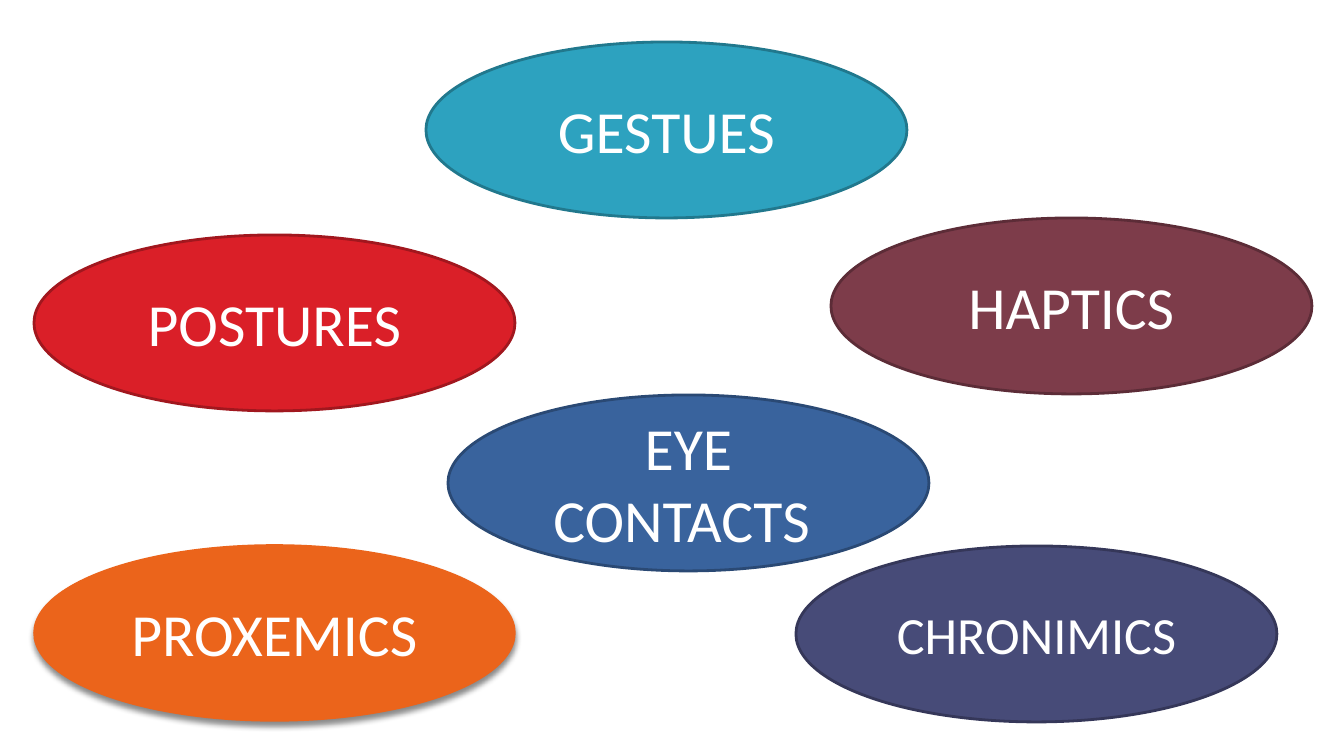
from dataclasses import dataclass

from lxml import etree
from pptx import Presentation
from pptx.dml.color import RGBColor
from pptx.enum.shapes import MSO_SHAPE
from pptx.enum.text import MSO_ANCHOR, PP_ALIGN
from pptx.oxml.ns import qn
from pptx.util import Inches, Pt

OVAL = MSO_SHAPE.OVAL
MIDDLE = MSO_ANCHOR.MIDDLE
CENTER = PP_ALIGN.CENTER
PAGE_WIDTH, PAGE_HEIGHT = 1344, 756
OVAL_WIDTH, OVAL_HEIGHT = 481, 176
SCALE = Inches(10) / PAGE_WIDTH
BLANK_LAYOUT = 6


@dataclass(frozen=True)
class Theme:
    font: str = "Calibri"
    text: str = "FFFFFF"
    shadow: str = "000000"
    large: int = 32
    small: int = 28
    outline: float = 1.5
    thin: float = 0.79
    red: tuple = ("DA1F28", "A1171E")
    blue: tuple = ("39639D", "2A4974")
    maroon: tuple = ("7D3C4A", "5C2C37")
    orange: tuple = ("EB641B", "EB641B")
    indigo: tuple = ("474B78", "353759")
    teal: tuple = ("2DA2BF", "21788D")


THEME = Theme()


def px(length):
    return round(length * SCALE)


def color(value):
    return RGBColor.from_string(value)


def apply_format(target, values):
    for name, value in values.items():
        setattr(target, name, value)


def add_oval(page, label, left, top, colors, size=THEME.large, outline=THEME.outline):
    oval = page.shapes.add_shape(
        OVAL, px(left), px(top), px(OVAL_WIDTH), px(OVAL_HEIGHT)
    )
    fill, line = colors
    oval.shadow.inherit = False
    oval.fill.solid()
    oval.fill.fore_color.rgb = color(fill)
    oval.line.color.rgb = color(line)
    oval.line.width = Pt(outline)
    frame = oval.text_frame
    apply_format(frame, {"word_wrap": True, "vertical_anchor": MIDDLE})
    para = frame.paragraphs[0]
    para.alignment = CENTER
    span = para.add_run()
    span.text = label
    apply_format(span.font, {"name": THEME.font, "size": Pt(size)})
    span.font.color.rgb = color(THEME.text)
    return oval


def add_shadow(shape):
    effects = shape._element.spPr.find(qn("a:effectLst"))
    shadow = etree.SubElement(
        effects,
        qn("a:outerShdw"),
        blurRad=str(Pt(3)),
        dist=str(Pt(2.4)),
        dir="5400000",
        rotWithShape="0",
    )
    tint = etree.SubElement(shadow, qn("a:srgbClr"), val=THEME.shadow)
    etree.SubElement(tint, qn("a:alpha"), val="45000")


def main():
    deck = Presentation()
    apply_format(
        deck, {"slide_width": px(PAGE_WIDTH), "slide_height": px(PAGE_HEIGHT)}
    )
    page = deck.slides.add_slide(deck.slide_layouts[BLANK_LAYOUT])

    add_oval(page, "POSTURES", 34, 235, THEME.red)
    add_oval(page, "EYE CONTACTS ", 448, 395, THEME.blue)
    add_oval(page, "HAPTICS", 831, 218, THEME.maroon)
    proxemics = add_oval(
        page, "PROXEMICS", 34, 545, THEME.orange, outline=THEME.thin
    )
    add_shadow(proxemics)
    add_oval(page, "CHRONIMICS", 796, 546, THEME.indigo, size=THEME.small)
    add_oval(page, "GESTUES", 426, 42, THEME.teal)

    deck.save("out.pptx")


if __name__ == "__main__":
    main()
